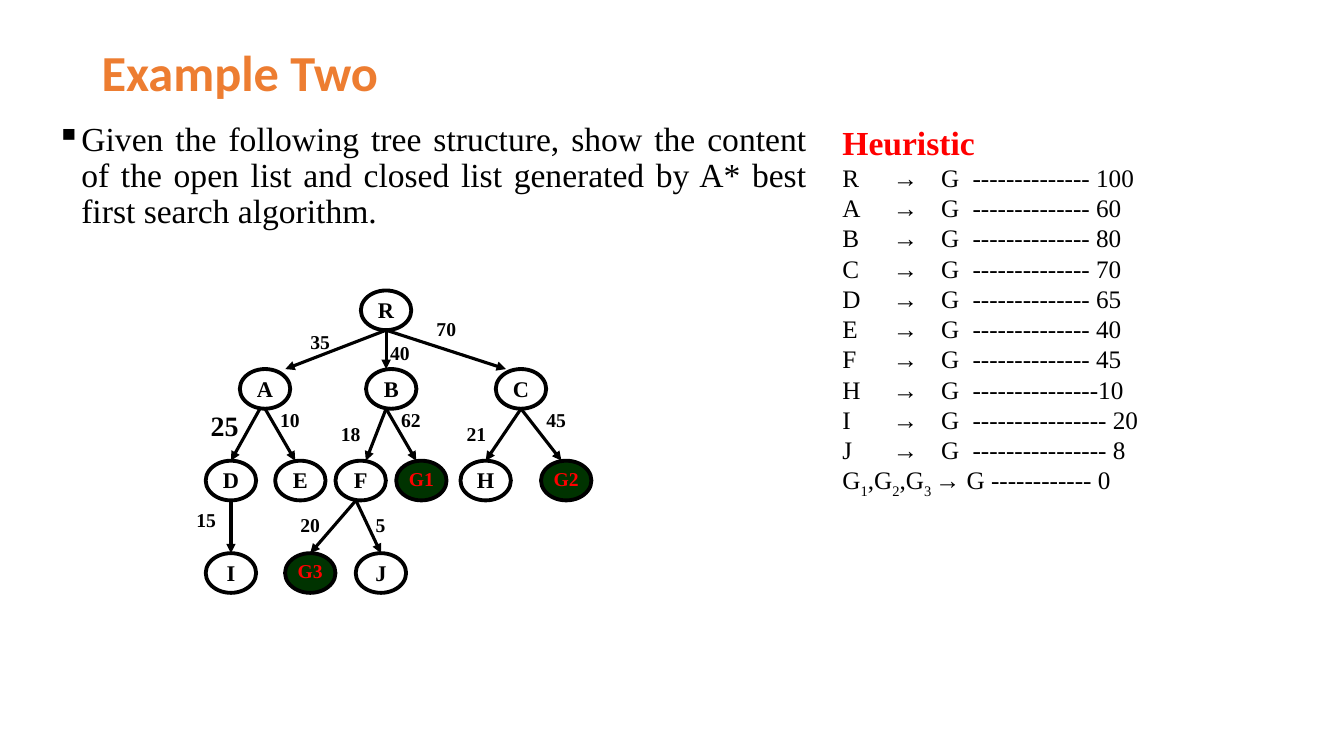
from lxml import etree
from pptx import Presentation
from pptx.dml.color import RGBColor
from pptx.enum.shapes import MSO_CONNECTOR, MSO_SHAPE
from pptx.enum.text import MSO_ANCHOR, PP_ALIGN
from pptx.oxml.ns import qn
from pptx.util import Cm, Pt

OVAL = MSO_SHAPE.OVAL
LINE = MSO_CONNECTOR.STRAIGHT
TOP, MIDDLE = MSO_ANCHOR.TOP, MSO_ANCHOR.MIDDLE
LEFT, CENTER, JUSTIFY = PP_ALIGN.LEFT, PP_ALIGN.CENTER, PP_ALIGN.JUSTIFY

COLORS = {"ink": "000000", "paper": "FFFFFF", "title": "ED7D31",
          "red": "FF0000", "goal": "003300"}
WIDE, HIGH = 1.27, 1.0
LEVELS = [7.32, 9.3, 11.61, 13.94]
NODES = [
    [("R", 9.73)],
    [("A", 6.68), ("B", 9.86), ("C", 13.13)],
    [("D", 5.82), ("E", 7.57), ("F", 9.09), ("G1", 10.62),
     ("H", 12.24), ("G2", 14.27)],
    [("I", 5.82), ("G3", 7.82), ("J", 9.6)],
]
EDGES = [
    [(9.73, 7.19), (9.73, 9.73), (9.73, 12.75)],
    [(6.55, 5.82), (6.68, 7.44), (9.73, 9.22), (9.73, 10.49),
     (13.13, 12.24), (13.13, 14.15)],
    [(5.82, 5.82), (8.97, 7.82), (8.97, 9.6)],
]
COSTS = [
    ("35", 7.82, 8.31), ("40", 9.83, 8.59), ("70", 11.0, 7.98),
    ("25", 5.31, 10.29), ("10", 7.06, 10.29), ("18", 8.59, 10.62),
    ("62", 10.11, 10.29), ("21", 11.76, 10.62), ("45", 13.77, 10.29),
    ("15", 4.95, 12.8), ("20", 7.57, 12.93), ("5", 9.47, 12.93),
]
GUESSES = [
    ("R", "-------------- 100"), ("A", "-------------- 60"),
    ("B", "-------------- 80"), ("C", "-------------- 70"),
    ("D", "-------------- 65"), ("E", "-------------- 40"),
    ("F", "-------------- 45"), ("H", "---------------10"),
    ("I", "---------------- 20"), ("J", "---------------- 8"),
]
GOALS = [("G", 0), ("1", 1), (",G", 0), ("2", 1), (",G", 0), ("3 ", 1),
         ("→ G ------------ 0", 0)]
TABS = [1.27, 2.49, 3.28]


class Painter:
    def __init__(self, slide):
        self.slide = slide
        self.font = "Times New Roman"

    def color(self, name):
        return RGBColor.from_string(COLORS[name])

    def run(self, para, text, size, color="ink", bold=False, font=None, sub=False):
        run = para.add_run()
        run.text = text
        run.font.name = font or self.font
        run.font.size = Pt(size)
        run.font.bold = bold
        run.font.color.rgb = self.color(color)
        if sub:
            run._r.get_or_add_rPr().set("baseline", "-25000")

    def frame(self, shape, anchor=TOP, align=LEFT, tight=False):
        frame = shape.text_frame
        frame.word_wrap = True
        frame.vertical_anchor = anchor
        if tight:
            frame.margin_left = frame.margin_right = Cm(0)
            frame.margin_top = frame.margin_bottom = Cm(0)
        frame.paragraphs[0].alignment = align
        return frame

    def box(self, left, top, width, height, **style):
        shape = self.slide.shapes.add_textbox(
            Cm(left), Cm(top), Cm(width), Cm(height))
        return self.frame(shape, **style)

    def bullet(self, para, char, indent):
        props = para._p.get_or_add_pPr()
        props.set("marL", str(Cm(indent)))
        props.set("indent", str(-Cm(indent)))
        etree.SubElement(props, qn("a:buChar")).set("char", char)

    def tabs(self, para, stops):
        props = para._p.get_or_add_pPr()
        tabs = etree.SubElement(props, qn("a:tabLst"))
        for stop in stops:
            tab = etree.SubElement(tabs, qn("a:tab"))
            tab.set("pos", str(Cm(stop)))
            tab.set("algn", "l")

    def node(self, name, mid, top):
        goal = name.startswith("G")
        shape = self.slide.shapes.add_shape(
            OVAL, Cm(mid - WIDE / 2), Cm(top), Cm(WIDE), Cm(HIGH))
        shape.shadow.inherit = False
        shape.fill.solid()
        shape.fill.fore_color.rgb = self.color("goal" if goal else "paper")
        shape.line.color.rgb = self.color("ink")
        shape.line.width = Pt(2.75)
        para = self.frame(shape, align=CENTER, tight=True).paragraphs[0]
        self.run(para, name, 14 if goal else 16, "red" if goal else "ink", True)

    def arrow(self, start, top, end, base):
        edge = self.slide.shapes.add_connector(
            LINE, Cm(start), Cm(top), Cm(end), Cm(base))
        edge.line.color.rgb = self.color("ink")
        edge.line.width = Pt(2.25)
        tail = etree.SubElement(edge.line._get_or_add_ln(), qn("a:tailEnd"))
        tail.set("type", "triangle")
        etree.SubElement(edge._element.spPr, qn("a:effectLst"))

    def cost(self, text, left, top):
        para = self.box(left, top, 1.0, 0.66, tight=True).paragraphs[0]
        self.run(para, text, 20 if text == "25" else 14, bold=True)


def main():
    deck = Presentation()
    deck.slide_width, deck.slide_height = Cm(33.87), Cm(19.05)
    art = Painter(deck.slides.add_slide(deck.slide_layouts[6]))

    task = art.box(1.17, 2.95, 19.41, 5.72, align=JUSTIFY).paragraphs[0]
    task.line_spacing = 0.9
    art.bullet(task, "▪", 0.63)
    art.run(task, "Given the following tree structure, show the content of the "
            "open list and closed list generated by A* best first search "
            "algorithm.", 24)

    title = art.box(2.31, 1.27, 17.25, 1.07, anchor=MIDDLE).paragraphs[0]
    art.run(title, "Example Two", 36, "title", True, "Calibri")

    table = art.box(20.98, 2.95, 9.32, 14.05)
    art.run(table.paragraphs[0], "Heuristic", 24, "red", True)
    for name, value in GUESSES:
        para = table.add_paragraph()
        art.tabs(para, TABS)
        art.run(para, f"{name}\t→\tG\t{value}", 18)
    last = table.add_paragraph()
    for text, sub in GOALS:
        art.run(last, text, 18, sub=sub)

    for top, row in zip(LEVELS, NODES):
        for name, mid in row:
            art.node(name, mid, top)
    for top, base, row in zip(LEVELS, LEVELS[1:], EDGES):
        for start, end in row:
            art.arrow(start, top + HIGH, end, base)
    for text, left, top in COSTS:
        art.cost(text, left, top)

    deck.save("out.pptx")


if __name__ == "__main__":
    main()
